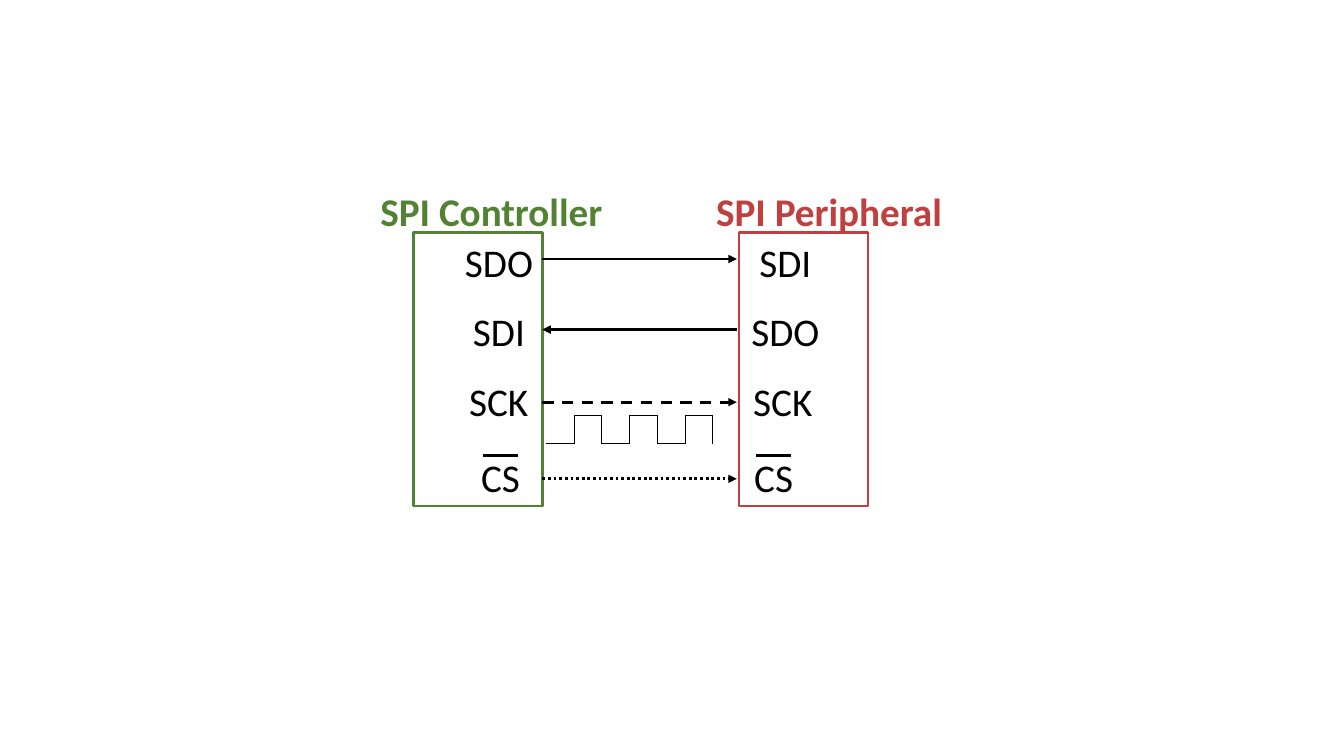
from lxml.etree import SubElement
from pptx import Presentation
from pptx.dml.color import RGBColor
from pptx.enum.dml import MSO_LINE
from pptx.enum.shapes import MSO_CONNECTOR, MSO_SHAPE
from pptx.enum.text import MSO_AUTO_SIZE, PP_ALIGN
from pptx.oxml.ns import qn
from pptx.util import Pt

GREEN = RGBColor(0x54, 0x82, 0x35)
RED = RGBColor(0xC0, 0x40, 0x40)
BLACK = RGBColor(0, 0, 0)

CHIP_TOP, CHIP_WIDTH, CHIP_HEIGHT = 166.3, 92.2, 195.1
CONTROLLER_LEFT, PERIPHERAL_LEFT = 295.2, 527.8
PIN_TOPS = (0, 49.7, 99.4, 154.1)
TEXT_HEIGHT = 41.2
OVERBAR_DROP, OVERBAR_WIDTH = 159.1, 25.2


def add_text(slide, text, center, top, width, color=BLACK, bold=False):
    """Place one line of text centred on a horizontal position."""
    box = slide.shapes.add_textbox(Pt(center - width / 2), Pt(top), Pt(width), Pt(TEXT_HEIGHT))
    frame = box.text_frame
    frame.word_wrap = False
    frame.auto_size = MSO_AUTO_SIZE.SHAPE_TO_FIT_TEXT
    paragraph = frame.paragraphs[0]
    paragraph.alignment = PP_ALIGN.CENTER
    run = paragraph.add_run()
    run.text = text
    run.font.name = "Calibri"
    run.font.size = Pt(28)
    run.font.bold = bold
    run.font.color.rgb = color


def add_line(slide, start, end, width=2, dash=None, arrow=None):
    """Draw a black line; arrow is "headEnd" (at start) or "tailEnd" (at end)."""
    points = [Pt(value) for value in (*start, *end)]
    connector = slide.shapes.add_connector(MSO_CONNECTOR.STRAIGHT, *points)
    connector.line.color.rgb = BLACK
    connector.line.width = Pt(width)
    if dash:
        connector.line.dash_style = dash
    if arrow:
        SubElement(connector.line._get_or_add_ln(), qn(f"a:{arrow}"), type="triangle")
    SubElement(connector._element.spPr, qn("a:effectLst"))


def add_chip(slide, left, top, title, title_center, title_width, color, pins):
    """Draw a chip; centres of the title and pins count from its left edge."""
    chip = slide.shapes.add_shape(
        MSO_SHAPE.RECTANGLE, Pt(left), Pt(top), Pt(CHIP_WIDTH), Pt(CHIP_HEIGHT))
    chip.shadow.inherit = False
    chip.fill.background()
    chip.line.color.rgb = color
    chip.line.width = Pt(2)
    add_text(slide, title, left + title_center, top - 36, title_width, color=color, bold=True)
    for (name, center, width), pin_top in zip(pins, PIN_TOPS):
        add_text(slide, name, left + center, top + pin_top, width)
        if name == "CS":
            bar_left, bar_top = left + center - OVERBAR_WIDTH / 2, top + OVERBAR_DROP
            add_line(slide, (bar_left, bar_top), (bar_left + OVERBAR_WIDTH, bar_top))


def add_wires(slide, left, right, top):
    wires = (
        (18.7, None, "tailEnd"),
        (69.1, None, "headEnd"),
        (121, MSO_LINE.DASH, "tailEnd"),
        (175.7, MSO_LINE.ROUND_DOT, "tailEnd"),
    )
    for drop, dash, arrow in wires:
        add_line(slide, (left, top + drop), (right, top + drop), dash=dash, arrow=arrow)


def add_clock_wave(slide, left, top, step=19.8, height=20.2, cycles=3):
    low, high = top + height, top
    for cycle in range(cycles):
        start = left + 2 * cycle * step
        middle, end = start + step, start + 2 * step
        corners = [(start, low), (middle, low), (middle, high), (end, high), (end, low)]
        for first, second in zip(corners, corners[1:]):
            add_line(slide, first, second, width=0.5)


def main():
    presentation = Presentation()
    presentation.slide_width, presentation.slide_height = Pt(960), Pt(540)
    slide = presentation.slides.add_slide(presentation.slide_layouts[6])
    add_chip(slide, CONTROLLER_LEFT, CHIP_TOP, "SPI Controller", 55.8, 175, GREEN,
             (("SDO", 61.2, 63.4), ("SDI", 61.2, 51.8), ("SCK", 61, 56.9), ("CS", 62.3, 42.5)))
    add_chip(slide, PERIPHERAL_LEFT, CHIP_TOP, "SPI Peripheral", 64.4, 177.8, RED,
             (("SDI", 33.1, 51.8), ("SDO", 33.1, 63.4), ("SCK", 31.3, 56.9), ("CS", 24.8, 42.5)))
    controller_right = CONTROLLER_LEFT + CHIP_WIDTH
    add_wires(slide, controller_right, PERIPHERAL_LEFT - 1.5, CHIP_TOP)
    add_clock_wave(slide, controller_right + 2.9, CHIP_TOP + 130.3)
    presentation.save("out.pptx")


if __name__ == "__main__":
    main()
